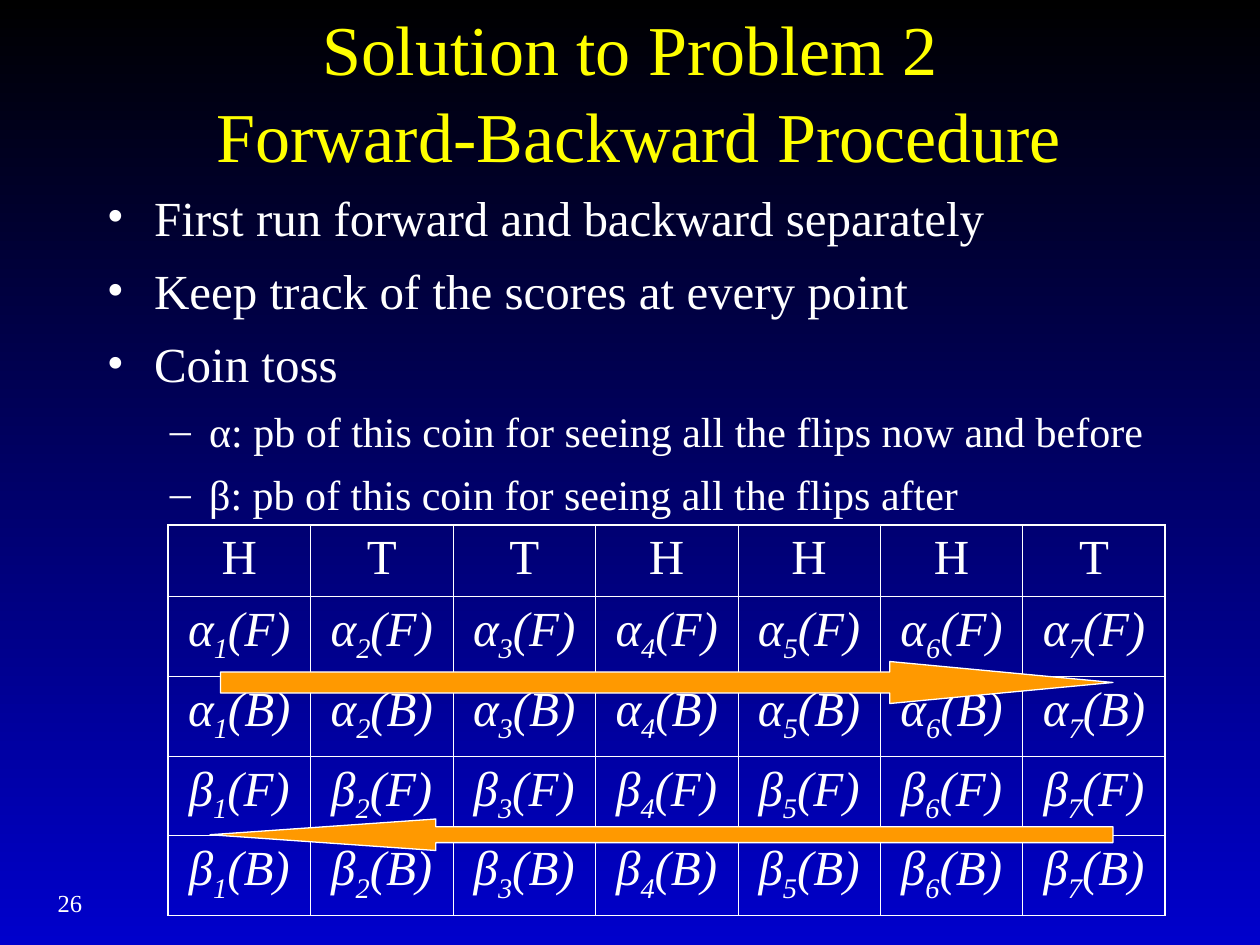
from dataclasses import dataclass

from lxml import etree
from pptx import Presentation
from pptx.dml.color import RGBColor
from pptx.enum.shapes import MSO_SHAPE
from pptx.enum.text import MSO_ANCHOR, PP_ALIGN
from pptx.oxml.ns import qn
from pptx.util import Pt

RIGHT_ARROW, LEFT_ARROW = MSO_SHAPE.RIGHT_ARROW, MSO_SHAPE.LEFT_ARROW
CENTER, RIGHT = PP_ALIGN.CENTER, PP_ALIGN.RIGHT
MIDDLE = MSO_ANCHOR.MIDDLE

COLORS = {"top": "000000", "bottom": "0000CC", "title": "FFFF00",
          "text": "FFFFFF", "arrow": "FF9900"}
FONT = "Times New Roman"
LINE_SPACING = 1.04
OUTER_BORDER, INNER_BORDER = 1.08, 0.45


@dataclass
class BulletLevel:
    bullet: str
    size: float
    margin: float
    indent: float
    space_before: float


@dataclass
class BulletItem:
    text: str
    level: int = 0


@dataclass
class Arrow:
    kind: MSO_SHAPE
    left: float
    top: float
    width: float
    height: float
    head_ratio: float


LEVELS = [BulletLevel("•", 28, 27, -27, 7), BulletLevel("–", 24, 58.5, -22.5, 6)]
ITEMS = [
    BulletItem("First run forward and backward separately"),
    BulletItem("Keep track of the scores at every point"),
    BulletItem("Coin toss"),
    BulletItem("α: pb of this coin for seeing all the flips now and before", 1),
    BulletItem("β: pb of this coin for seeing all the flips after", 1),
]
TOSSES = "HTTHHHT"
SCORES = [(symbol, coin) for symbol in "αβ" for coin in "FB"]
ARROWS = [
    Arrow(RIGHT_ARROW, 126, 378, 510, 24, 5.31),
    Arrow(LEFT_ARROW, 120, 468, 516, 18, 7.17),
]


def rgb(name: str) -> RGBColor:
    return RGBColor.from_string(COLORS[name])


def format_runs(paragraph, size: float, color: str = "text", italic: bool = False) -> None:
    for run in paragraph.runs:
        run.font.name = FONT
        run.font.size = Pt(size)
        run.font.italic = italic
        run.font.color.rgb = rgb(color)


def add_bullet(paragraph, level: BulletLevel) -> None:
    properties = paragraph._p.get_or_add_pPr()
    properties.set("marL", str(Pt(level.margin)))
    properties.set("indent", str(Pt(level.indent)))
    color = etree.SubElement(properties, qn("a:buClr"))
    etree.SubElement(color, qn("a:srgbClr"), val=COLORS["text"])
    etree.SubElement(properties, qn("a:buFont"), typeface=FONT)
    etree.SubElement(properties, qn("a:buChar"), char=level.bullet)


def add_bullet_list(slide, items: list[BulletItem]) -> None:
    frame = slide.shapes.add_textbox(Pt(54), Pt(102), Pt(612), Pt(270)).text_frame
    frame.word_wrap = True
    frame.text = "\n".join(item.text for item in items)
    for index, (paragraph, item) in enumerate(zip(frame.paragraphs, items)):
        level = LEVELS[item.level]
        paragraph.level = item.level
        add_bullet(paragraph, level)
        paragraph.line_spacing = LINE_SPACING
        if index:
            paragraph.space_before = Pt(level.space_before)
        format_runs(paragraph, level.size)


def set_borders(cell, widths: dict[str, float]) -> None:
    properties = cell._tc.get_or_add_tcPr()
    for position, (side, width) in enumerate(widths.items()):
        line = etree.Element(qn(f"a:{side}"), w=str(Pt(width)))
        fill = etree.SubElement(line, qn("a:solidFill"))
        etree.SubElement(fill, qn("a:srgbClr"), val=COLORS["text"])
        properties.insert(position, line)


def add_score_table(slide) -> None:
    row_count, column_count = len(SCORES) + 1, len(TOSSES)
    header_height, score_height, width = 40.8, 45.6, 570
    height = header_height + score_height * len(SCORES)
    table = slide.shapes.add_table(row_count, column_count, Pt(96), Pt(300),
                                   Pt(width), Pt(height)).table
    table.first_row = table.horz_banding = False
    for column in table.columns:
        column.width = Pt(width / column_count)
    for row_index, row in enumerate(table.rows):
        row.height = Pt(score_height if row_index else header_height)
        for column_index, cell in enumerate(row.cells):
            paragraph = cell.text_frame.paragraphs[0]
            paragraph.alignment = CENTER
            if row_index:
                symbol, coin = SCORES[row_index - 1]
                for text in (symbol, str(column_index + 1), f"({coin})"):
                    paragraph.add_run().text = text
                paragraph.runs[1].font._element.set("baseline", "-25000")
            else:
                paragraph.text = TOSSES[column_index]
            format_runs(paragraph, 28, italic=row_index > 0)
            cell.fill.background()
            on_edge = {"lnL": column_index == 0, "lnR": column_index == column_count - 1,
                       "lnT": row_index == 0, "lnB": row_index == row_count - 1}
            set_borders(cell, {side: OUTER_BORDER if edge else INNER_BORDER
                               for side, edge in on_edge.items()})


def add_arrow(slide, arrow: Arrow) -> None:
    shape = slide.shapes.add_shape(arrow.kind, Pt(arrow.left), Pt(arrow.top),
                                   Pt(arrow.width), Pt(arrow.height))
    shape.adjustments[0] = 0.5
    shape.adjustments[1] = arrow.head_ratio
    shape.shadow.inherit = False
    shape.fill.solid()
    shape.fill.fore_color.rgb = rgb("arrow")
    shape.line.color.rgb = rgb("text")
    shape.line.width = Pt(0.75)


def main() -> None:
    presentation = Presentation()
    presentation.slide_width, presentation.slide_height = Pt(720), Pt(540)
    slide = presentation.slides.add_slide(presentation.slide_layouts[5])

    # Background, dark at the top
    background = slide.background.fill
    background.gradient()
    background.gradient_angle = 270
    for stop, name in zip(background.gradient_stops, ("top", "bottom")):
        stop.color.rgb = rgb(name)

    # Title
    title = slide.shapes.title
    title.left, title.top, title.width, title.height = Pt(54), Pt(6), Pt(612), Pt(90)
    title.text_frame.text = "Solution to Problem 2\v Forward-Backward Procedure"
    title.text_frame.vertical_anchor = MIDDLE
    heading = title.text_frame.paragraphs[0]
    heading.alignment = CENTER
    heading.line_spacing = LINE_SPACING
    format_runs(heading, 40, "title")

    # Slide number
    number = slide.shapes.add_textbox(Pt(0), Pt(504), Pt(54), Pt(36)).text_frame
    number.word_wrap = True
    number.text = "26"
    number.paragraphs[0].alignment = RIGHT
    format_runs(number.paragraphs[0], 14)

    # Bullets, score table and the arrows over it
    add_bullet_list(slide, ITEMS)
    add_score_table(slide)
    for arrow in ARROWS:
        add_arrow(slide, arrow)

    presentation.save("out.pptx")


if __name__ == "__main__":
    main()
